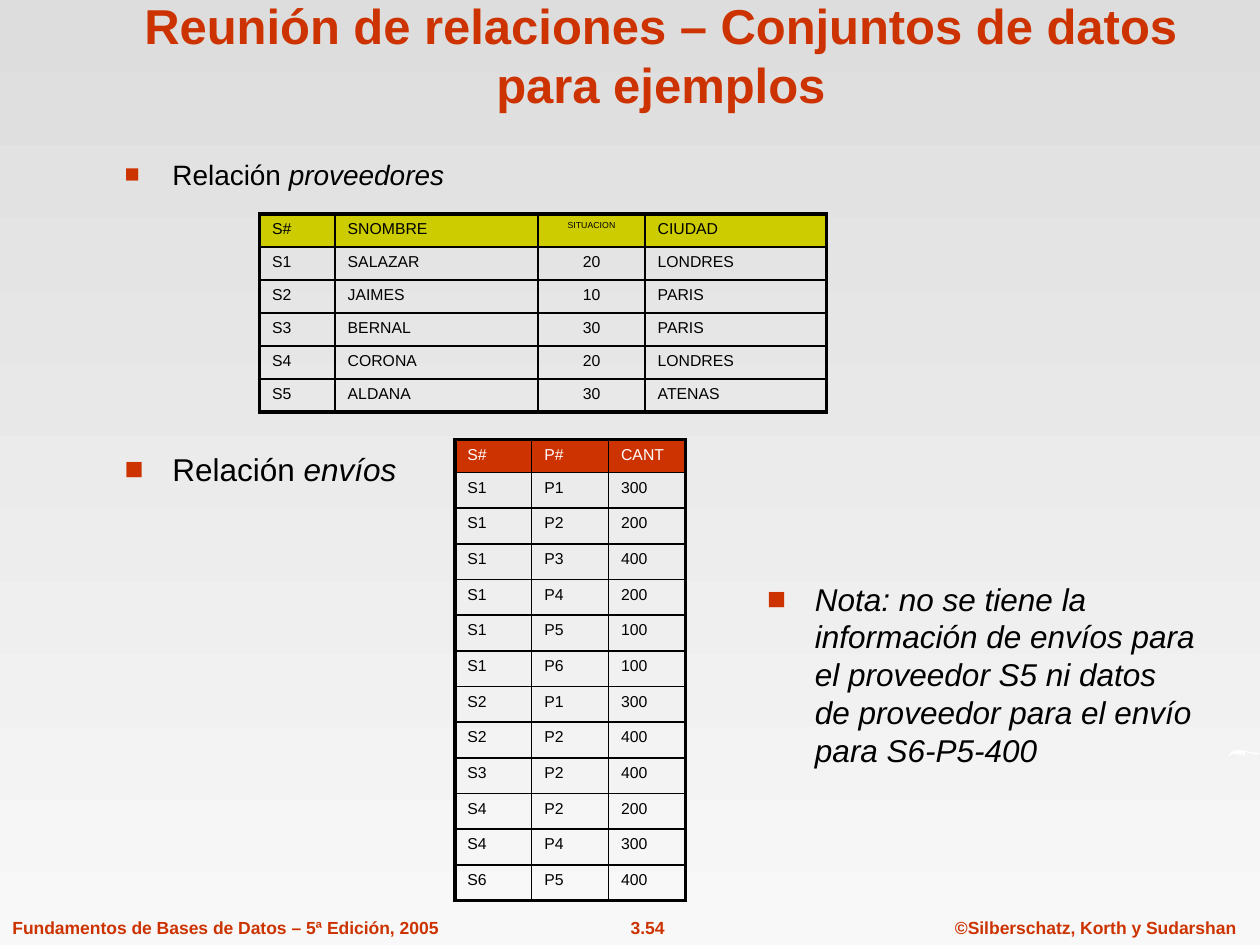
import pptx
import pptx.util
import pptx.dml.color
import pptx.enum.text
import pptx.oxml
import pptx.oxml.ns
from lxml import etree

Inches = pptx.util.Inches
Pt = pptx.util.Pt
RGB = pptx.dml.color.RGBColor
ALIGN = pptx.enum.text.PP_ALIGN
ANCHOR = pptx.enum.text.MSO_ANCHOR

RED = RGB(0xCC, 0x33, 0x00)
LIME = RGB(0xCC, 0xCC, 0x00)
BLACK = RGB(0, 0, 0)
WHITE = RGB(0xFF, 0xFF, 0xFF)
TOP = RGB(0xDD, 0xDD, 0xDD)
BASE = RGB(0xF8, 0xF8, 0xF8)

SUPPLIERS = [
    ("S#", "SNOMBRE", "SITUACION", "CIUDAD"),
    ("S1", "SALAZAR", "20", "LONDRES"),
    ("S2", "JAIMES", "10", "PARIS"),
    ("S3", "BERNAL", "30", "PARIS"),
    ("S4", "CORONA", "20", "LONDRES"),
    ("S5", "ALDANA", "30", "ATENAS"),
]
SHIPMENTS = [
    ("S#", "P#", "CANT"),
    ("S1", "P1", "300"), ("S1", "P2", "200"), ("S1", "P3", "400"),
    ("S1", "P4", "200"), ("S1", "P5", "100"), ("S1", "P6", "100"),
    ("S2", "P1", "300"), ("S2", "P2", "400"), ("S3", "P2", "400"),
    ("S4", "P2", "200"), ("S4", "P4", "300"), ("S6", "P5", "400"),
]
SWOOSH = [
    (9.75, 6.01), (9.76, 5.98), (9.79, 5.96), (9.83, 5.95), (9.88, 5.96),
    (9.94, 5.97), (10, 5.98), (9.98, 5.99), (9.94, 5.98), (9.88, 5.97),
    (9.88, 6), (9.85, 5.97), (9.85, 6), (9.82, 5.97), (9.83, 6),
    (9.8, 5.98), (9.77, 5.99),
]


def write(par, text, size=18, color=BLACK, bold=False, italic=False, align=ALIGN.LEFT):
    """Add one formatted run to a paragraph."""
    par.alignment = align
    run = par.add_run()
    run.text = text
    font = run.font
    font.name, font.size = "Arial", Pt(size)
    font.bold, font.italic = bold, italic
    font.color.rgb = color


def add_child(parent, tag, **attrs):
    node = etree.SubElement(parent, pptx.oxml.ns.qn(tag))
    for key, value in attrs.items():
        node.set(key, str(value))
    return node


def paint(slide):
    """Fill the background with a vertical gradient."""
    fill = slide.background.fill
    fill.gradient()
    fill.gradient_angle = 270
    for stop, color, place in zip(fill.gradient_stops, (TOP, BASE), (0, 1)):
        stop.color.rgb = color
        stop.position = place


def add_title(slide, box, text):
    title = slide.shapes.title
    title.left, title.top, title.width, title.height = map(Inches, box)
    frame = title.text_frame
    frame.auto_size = pptx.enum.text.MSO_AUTO_SIZE.NONE
    frame.vertical_anchor = ANCHOR.BOTTOM
    write(frame.paragraphs[0], text, size=28, color=RED, bold=True, align=ALIGN.CENTER)


def add_box(slide, box, wrap=True):
    """Add a text box and return its first paragraph."""
    frame = slide.shapes.add_textbox(*map(Inches, box)).text_frame
    frame.word_wrap = wrap
    return frame.paragraphs[0]


def add_bullet(slide, box, plain, slant, size=18, scale=100):
    """Add a bulleted line with an upright part and an italic part."""
    par = add_box(slide, box)
    props = par._p.get_or_add_pPr()
    props.set("marL", str(Inches(0.38)))
    props.set("indent", str(Inches(-0.38)))
    add_child(add_child(props, "a:buClr"), "a:srgbClr", val=RED)
    add_child(props, "a:buSzPct", val=scale * 1000)
    add_child(props, "a:buFont", typeface="Arial")
    add_child(props, "a:buChar", char="■")
    if plain:
        write(par, plain, size=size)
    write(par, slant, size=size, italic=True)


def edge(cell, side, width):
    line = add_child(cell._tc.get_or_add_tcPr(), "a:ln" + side, w=Pt(width))
    add_child(add_child(line, "a:solidFill"), "a:srgbClr", val=BLACK)


def add_grid(slide, box, rows, cols, fill, ink=BLACK, mid=None):
    """Add a table with a coloured head row; mid is the centred column."""
    count, wide = len(rows), len(cols)
    table = slide.shapes.add_table(count, wide, *map(Inches, box)).table
    table.first_row = table.horz_banding = False
    for col, width in zip(table.columns, cols):
        col.width = Inches(width)
    for r, row in enumerate(rows):
        table.rows[r].height = Inches(0.26) if r == 0 else Inches((box[3] - 0.26) / (count - 1))
        for c, text in enumerate(row):
            cell = table.cell(r, c)
            outer = {"L": c == 0, "R": c == wide - 1, "T": r == 0, "B": r == count - 1}
            for side, thick in outer.items():
                edge(cell, side, 2.25 if thick else 1)
            if r == 0:
                cell.fill.solid()
                cell.fill.fore_color.rgb = fill
            else:
                cell.fill.background()
            write(cell.text_frame.paragraphs[0], text,
                  size=5 if text == "SITUACION" else 9,
                  color=ink if r == 0 else BLACK,
                  align=ALIGN.CENTER if c == mid else ALIGN.LEFT)


def add_swoosh(slide, points):
    start, *rest = [(Inches(x), Inches(y)) for x, y in points]
    path = slide.shapes.build_freeform(*start)
    path.add_line_segments(rest, close=True)
    shape = path.convert_to_shape()
    shape.shadow.inherit = False
    shape.fill.solid()
    shape.fill.fore_color.rgb = WHITE
    shape.line.fill.background()


def add_footer(slide, top, height):
    parts = [
        (0, 3.58, "Fundamentos de Bases de Datos – 5ª Edición, 2005", ALIGN.LEFT),
        (4.86, 0.56, "3.54", ALIGN.CENTER),
        (7.48, 2.43, "©Silberschatz, Korth y Sudarshan", ALIGN.CENTER),
    ]
    for left, width, text, align in parts:
        par = add_box(slide, (left, top, width, height), wrap=False)
        write(par, text, size=10, color=RED, bold=True, align=align)


def main():
    deck = pptx.Presentation()
    deck.slide_width, deck.slide_height = Inches(10), Inches(7.5)
    slide = deck.slides.add_slide(deck.slide_layouts[5])
    paint(slide)
    add_footer(slide, 7.23, 0.27)
    add_swoosh(slide, SWOOSH)
    add_title(slide, (0.83, 0.28, 8.83, 0.67),
              "Reunión de relaciones – Conjuntos de datos para ejemplos")
    add_bullet(slide, (0.89, 1.2, 4.11, 5.36), "Relación ", "proveedores", size=16, scale=90)
    add_bullet(slide, (0.89, 3.52, 7.44, 2.59), "Relación ", "envíos")
    add_bullet(slide, (5.99, 4.55, 3.63, 1.78), "",
               "Nota: no se tiene la información de envíos para el proveedor S5 "
               "ni datos de proveedor para el envío para S6-P5-400")
    add_grid(slide, (2.06, 1.7, 4.5, 1.57), SUPPLIERS, (0.6, 1.61, 0.85, 1.44), LIME, mid=2)
    add_grid(slide, (3.61, 3.49, 1.84, 3.66), SHIPMENTS, (0.61,) * 3, RED, ink=WHITE)
    deck.save("out.pptx")


if __name__ == "__main__":
    main()
